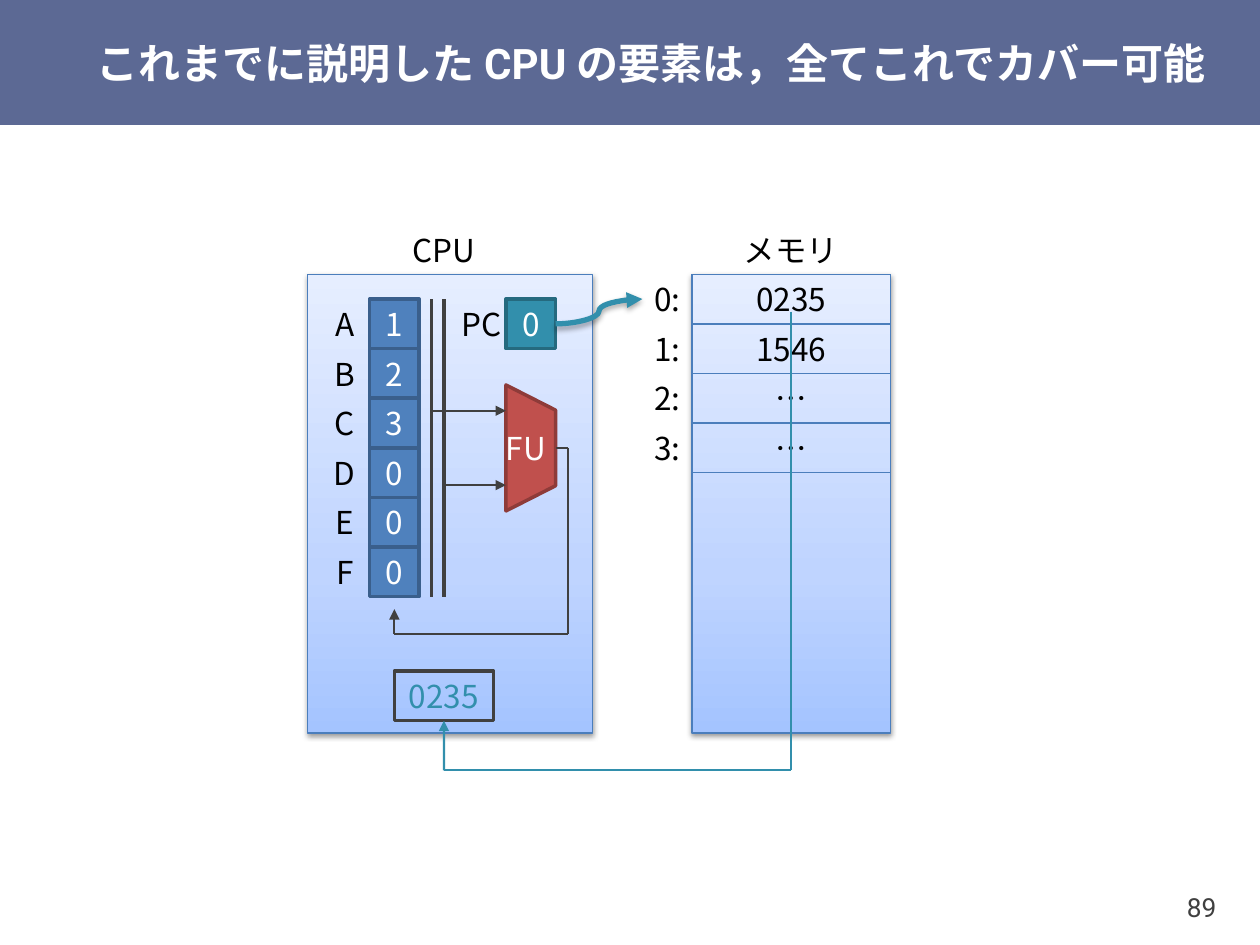
from itertools import pairwise

from lxml.etree import SubElement
from pptx import Presentation
from pptx.dml.color import RGBColor
from pptx.enum.lang import MSO_LANGUAGE_ID
from pptx.enum.shapes import MSO_CONNECTOR, MSO_SHAPE
from pptx.enum.text import MSO_ANCHOR, PP_ALIGN
from pptx.oxml import parse_xml
from pptx.oxml.ns import nsdecls, qn
from pptx.util import Cm, Pt

FONT = "Noto Sans CJK JP"
WHITE, BLACK, DARK = "FFFFFF", "000000", "404040"
TEAL, EDGE = "328FAC", "4B7EBC"
STOPS = ((0, "A4C4FF"), (35, "BFD4FF"), (100, "E6EEFF"))
REGISTER = {"fill": "4F81BD", "line": "3A5F8C", "weight": 2}
COUNTER = {"fill": TEAL, "line": "256A7F", "weight": 2}
UNIT = {"fill": "C0504D", "line": "8E3B39", "weight": 2}
PANEL = {"line": EDGE, "weight": 0.75}
FRAME = {"line": DARK, "weight": 2}


def color(hex_text):
    """Turn a hex string into a colour."""
    return RGBColor.from_string(hex_text)


def apply(target, values):
    """Set each attribute of the target from a dict."""
    for name, value in values.items():
        setattr(target, name, value)


def write(shape, text, size=18, font=FONT, ink=BLACK, bold=False,
          align=PP_ALIGN.CENTER, wrap=False, margins=(0, 0)):
    """Put one formatted run of text into a shape."""
    across, down = (Cm(margin) for margin in margins)
    frame = shape.text_frame
    apply(frame, {"word_wrap": wrap, "vertical_anchor": MSO_ANCHOR.MIDDLE,
                  "margin_left": across, "margin_right": across,
                  "margin_top": down, "margin_bottom": down})
    paragraph = frame.paragraphs[0]
    paragraph.alignment = align
    run = paragraph.add_run()
    run.text = text
    run.font.fill.solid()
    run.font.fill.fore_color.rgb = color(ink)
    apply(run.font, {"size": Pt(size), "name": font, "bold": bold,
                     "language_id": MSO_LANGUAGE_ID.JAPANESE})
    SubElement(run.font._element, qn("a:ea"), typeface=FONT)


def add_label(slide, left, top, width, height, text, **style):
    """Add a text box."""
    label = slide.shapes.add_textbox(Cm(left), Cm(top), Cm(width), Cm(height))
    write(label, text, **style)
    return label


def add_block(slide, left, top, width, height, fill=None, line=None, weight=1,
              kind=MSO_SHAPE.RECTANGLE):
    """Add a preset shape with an optional fill and outline."""
    block = slide.shapes.add_shape(kind, Cm(left), Cm(top), Cm(width), Cm(height))
    block.shadow.inherit = False
    if fill:
        block.fill.solid()
        block.fill.fore_color.rgb = color(fill)
    else:
        block.fill.background()
    if line:
        block.line.color.rgb = color(line)
        block.line.width = Pt(weight)
    else:
        block.line.fill.background()
    return block


def add_shadow(effects, alpha, distance):
    """Add a soft downward shadow to an effect list."""
    shadow = SubElement(effects, qn("a:outerShdw"), blurRad="40000",
                        dist=str(distance), dir="5400000", rotWithShape="0")
    black = SubElement(shadow, qn("a:srgbClr"), val=BLACK)
    SubElement(black, qn("a:alpha"), val=str(alpha * 1000))


def add_panel(slide, left, top, width, height):
    """Add a large box with a vertical gradient and a shadow."""
    panel = add_block(slide, left, top, width, height, **PANEL)
    properties = panel._element.spPr
    stops = "".join(f'<a:gs pos="{place * 1000}"><a:srgbClr val="{shade}"/></a:gs>'
                    for place, shade in STOPS)
    gradient = parse_xml(f'<a:gradFill {nsdecls("a")}><a:gsLst>{stops}</a:gsLst>'
                         '<a:lin ang="16200000" scaled="0"/></a:gradFill>')
    properties.replace(properties.find(qn("a:noFill")), gradient)
    add_shadow(properties.find(qn("a:effectLst")), 38, 20000)


def add_line(slide, start, end, ink=DARK, weight=1.25, arrow=False,
             kind=MSO_CONNECTOR.STRAIGHT):
    """Add a connector, with an arrowhead at its end if asked."""
    connector = slide.shapes.add_connector(kind, *(Cm(n) for n in (*start, *end)))
    connector.line.color.rgb = color(ink)
    connector.line.width = Pt(weight)
    if arrow:
        SubElement(connector.line._get_or_add_ln(), qn("a:tailEnd"), type="triangle")
    SubElement(connector._element.spPr, qn("a:effectLst"))
    return connector


def add_route(slide, points, ink=DARK):
    """Add straight lines through the points and return the last, an arrow."""
    *legs, last = pairwise(points)
    for start, end in legs:
        add_line(slide, start, end, ink)
    return add_line(slide, *last, ink, arrow=True)


def add_heading(slide, left, top, width, height):
    """Draw the title band and its text."""
    add_block(slide, left, top, width, height, fill="5C6994")
    add_label(slide, left + 1.7, top, width - 1.7, height,
              "これまでに説明した CPU の要素は，全てこれでカバー可能", size=24,
              font="Roboto", ink=WHITE, bold=True, align=PP_ALIGN.LEFT,
              wrap=True, margins=(0.25, 0))


def add_memory(slide, left, top, width, height):
    """Draw the memory and return the label of its first address."""
    add_panel(slide, left, top, width, height)
    add_label(slide, left, top - 1, width, 1, "メモリ")
    addresses = []
    for row, word in enumerate(("0235", "1546", "…", "…")):
        write(add_block(slide, left, top + row, width, 1, **PANEL), word)
        addresses.append(add_label(slide, left - 1, top + row, 1, 1, f"{row}:"))
    return addresses[0]


def add_cpu(slide, left, top, width, height):
    """Draw the CPU and return its program counter and instruction register."""
    def at(across, down):
        """Give a point measured from the corner of the CPU."""
        return left + across, top + down

    add_panel(slide, left, top, width, height)
    add_label(slide, left - 0.25, top - 1, width + 0.25, 1, "CPU")
    for row, (name, value) in enumerate(zip("ABCDEF", "123000")):
        add_label(slide, *at(0.25, row + 0.5), 1, 1, name)
        write(add_block(slide, *at(1.25, row + 0.5), 1, 1, **REGISTER), value, ink=WHITE)
    add_label(slide, *at(3, 0.5), 1, 1, "PC")
    counter = add_block(slide, *at(4, 0.5), 1, 1, **COUNTER)
    write(counter, "0", ink=WHITE)

    unit = add_block(slide, *at(3.23, 3), 2.54, 1, **UNIT,
                     kind=MSO_SHAPE.FLOWCHART_MANUAL_OPERATION)
    unit.rotation = 270
    write(unit, "FU", ink=WHITE, wrap=True)
    unit.text_frame._txBody.bodyPr.set("vert", "eaVert")

    for bus, port in ((2.5, 2.75), (2.75, 4.25)):
        add_line(slide, at(bus, 0.5), at(bus, 6.5), weight=2)
        add_line(slide, at(bus, port), at(4, port), arrow=True)
    add_route(slide, (at(5, 3.5), at(5.25, 3.5), at(5.25, 7.25),
                      at(1.75, 7.25), at(1.75, 6.75)))
    instruction = add_block(slide, *at(1.75, 8), 2, 1, **FRAME)
    write(instruction, "0235", ink=TEAL)
    return counter, instruction


def add_machine(slide, left, top, height):
    """Draw the CPU and the memory and join them."""
    memory_left, memory_width = left + 7.75, 4
    address = add_memory(slide, memory_left, top, memory_width, height)
    counter, instruction = add_cpu(slide, left, top, 5.75, height)

    pointer = add_line(slide, (left + 5, top + 1), (memory_left - 1, top + 0.5), TEAL,
                       weight=3, arrow=True, kind=MSO_CONNECTOR.CURVE)
    pointer.begin_connect(counter, 3)
    pointer.end_connect(address, 1)
    add_shadow(pointer._element.spPr.find(qn("a:effectLst")), 35, 23000)

    middle, target = memory_left + memory_width / 2, left + 2.75
    fetch = add_route(slide, ((middle, top + 0.75), (middle, top + 10),
                              (target, top + 10), (target, top + 9)), TEAL)
    fetch.end_connect(instruction, 2)


def main():
    """Build the slide and save it."""
    presentation = Presentation()
    apply(presentation, {"slide_width": Cm(25.4), "slide_height": Cm(19.05)})
    slide = presentation.slides.add_slide(presentation.slide_layouts[6])
    add_heading(slide, 0, 0, 25.4, 2.52)
    add_label(slide, 22.7, 17.53, 2, 1.52, "89", size=15, font="Roboto", ink=DARK,
              align=PP_ALIGN.RIGHT, margins=(0.18, 0.1))
    add_machine(slide, 6.2, 5.53, 9.25)
    presentation.save("out.pptx")


if __name__ == "__main__":
    main()
